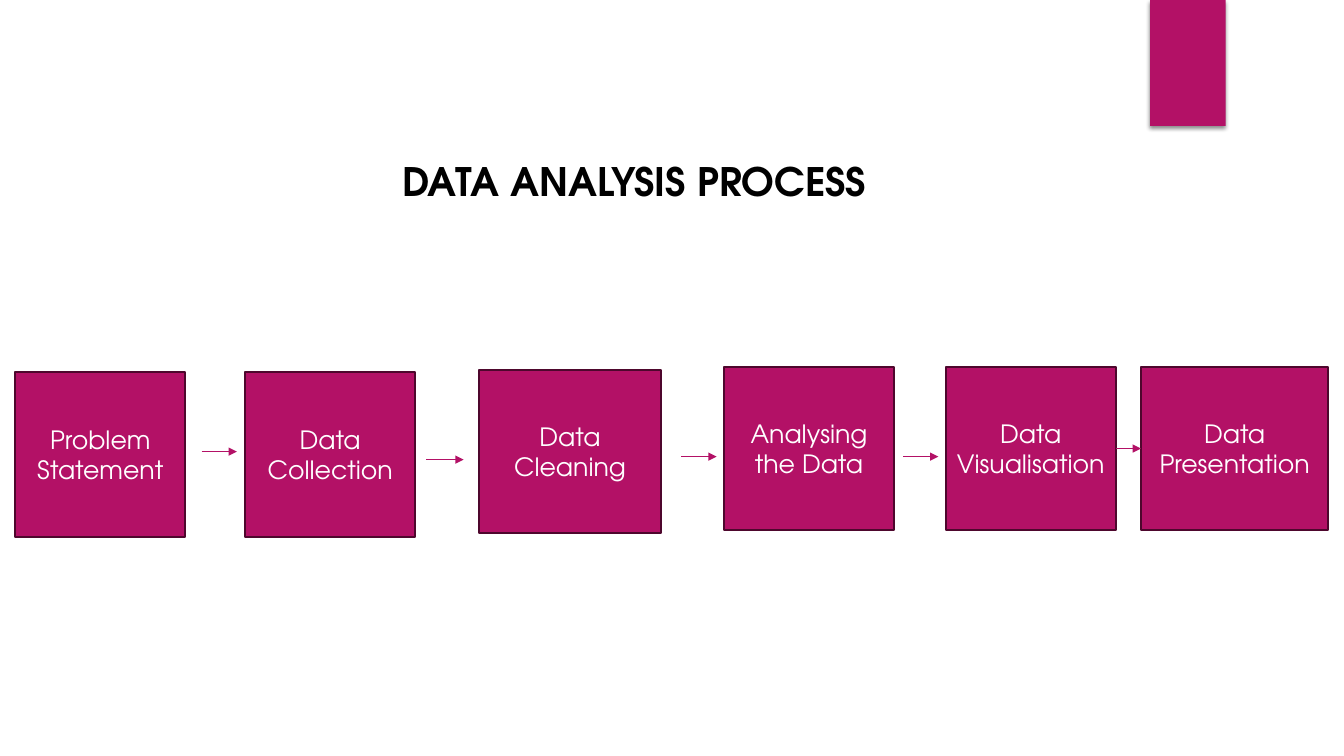
"""Build the data analysis process slide."""
from lxml.etree import SubElement
from pptx import Presentation
from pptx.dml.color import RGBColor
from pptx.enum.shapes import MSO_CONNECTOR, MSO_SHAPE
from pptx.enum.text import MSO_ANCHOR, MSO_AUTO_SIZE, PP_ALIGN
from pptx.oxml.ns import qn
from pptx.util import Pt

STEPS = [
    ("Problem Statement", 10.8, 265.7, 121.7, 118.1),
    ("Data Collection", 175, 265.7, 121.7, 118.1),
    ("Data Cleaning", 342, 264.2, 130.3, 116.6),
    ("Analysing the Data", 517, 262.1, 121.7, 116.6),
    ("Data Visualisation", 675.4, 262.1, 121.7, 116.6),
    ("Data Presentation", 815, 262.1, 133.9, 116.6),
]
ARROWS = [
    (144, 169.2, 322.6),
    (304.6, 331.2, 328.3),
    (486.7, 511.9, 326.2),
    (645.1, 670.3, 326.2),
    (797.1, 815, 320.4),
]


def paint(color_format, color):
    """Set a colour from a hex string."""
    color_format.rgb = RGBColor.from_string(color)


class ProcessPage:
    """Hold the style and the current slide."""

    font = "TeX Gyre Adventor"
    accent = "B31166"
    border = "4E072D"

    def __init__(self, page):
        """Keep the slide to draw on."""
        self.page = page

    def label(self, frame, text, size, color, align, bold=False):
        """Fill a text frame with one formatted paragraph."""
        frame.text = text
        frame.word_wrap = True
        para = frame.paragraphs[0]
        para.alignment = align
        for span in para.runs:
            span.font.name = self.font
            span.font.size = Pt(size)
            span.font.bold = bold
            paint(span.font.color, color)

    def title(self, text, left, top, width, height):
        """Place and fill the title placeholder."""
        box = self.page.shapes.title
        box.left, box.top, box.width, box.height = map(Pt, (left, top, width, height))
        self.label(box.text_frame, text, 28, "000000", PP_ALIGN.LEFT, bold=True)
        box.text_frame.auto_size = MSO_AUTO_SIZE.NONE
        box.text_frame.vertical_anchor = MSO_ANCHOR.TOP

    def block(self, left, top, width, height):
        """Add a plain rectangle in the accent colour."""
        box = self.page.shapes.add_shape(
            MSO_SHAPE.RECTANGLE, Pt(left), Pt(top), Pt(width), Pt(height))
        box.shadow.inherit = False
        box.fill.solid()
        paint(box.fill.fore_color, self.accent)
        box.line.fill.background()
        return box

    def tab(self, left, top, width, height):
        """Add the decorative tab with a soft shadow below it."""
        properties = self.block(left, top, width, height)._element.spPr
        effects = properties.find(qn("a:effectLst"))
        shadow = SubElement(
            effects, qn("a:outerShdw"), blurRad=str(Pt(3)), dist=str(Pt(2)),
            dir="5400000", rotWithShape="0")
        shade = SubElement(shadow, qn("a:srgbClr"), val="000000")
        SubElement(shade, qn("a:alpha"), val="45000")

    def step(self, text, left, top, width, height):
        """Add a bordered box naming one step."""
        box = self.block(left, top, width, height)
        box.line.width = Pt(1.5)
        paint(box.line.color, self.border)
        box.text_frame.vertical_anchor = MSO_ANCHOR.MIDDLE
        self.label(box.text_frame, text, 18, "FFFFFF", PP_ALIGN.CENTER)

    def arrow(self, start, end, level):
        """Add a horizontal arrow."""
        line = self.page.shapes.add_connector(
            MSO_CONNECTOR.STRAIGHT, Pt(start), Pt(level), Pt(end), Pt(level))
        line.line.width = Pt(0.75)
        paint(line.line.color, self.accent)
        properties = line._element.spPr
        SubElement(properties.find(qn("a:ln")), qn("a:tailEnd"), type="triangle")
        SubElement(properties, qn("a:effectLst"))


def main():
    """Draw the slide and save the deck."""
    deck = Presentation()
    deck.slide_width, deck.slide_height = Pt(960), Pt(540)
    process = ProcessPage(deck.slides.add_slide(deck.slide_layouts[5]))
    process.title("DATA ANALYSIS PROCESS", 280, 108.7, 455.8, 41)
    process.tab(821.5, 0, 54, 90)
    for step in STEPS:
        process.step(*step)
    for arrow in ARROWS:
        process.arrow(*arrow)
    deck.save("out.pptx")


if __name__ == "__main__":
    main()
